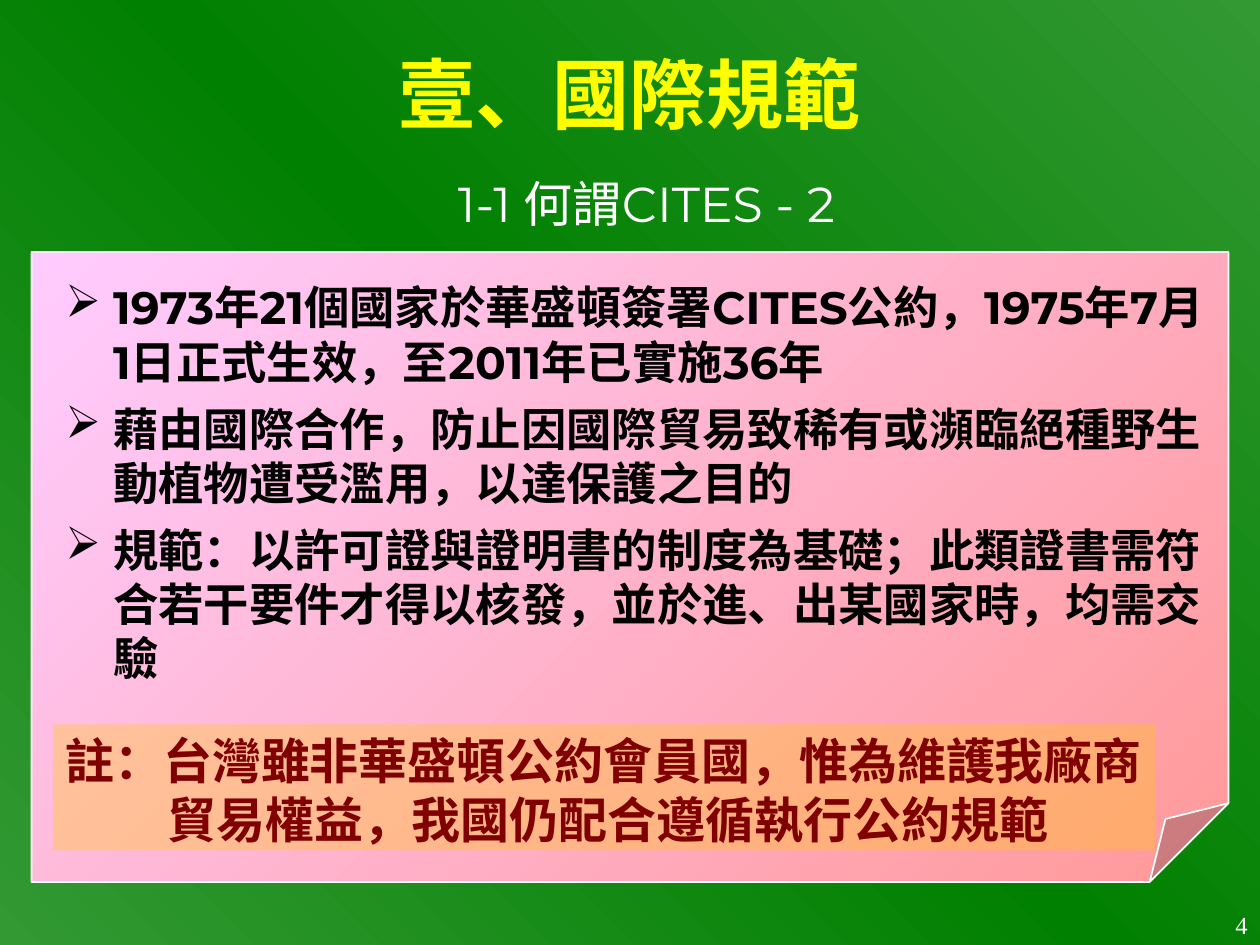
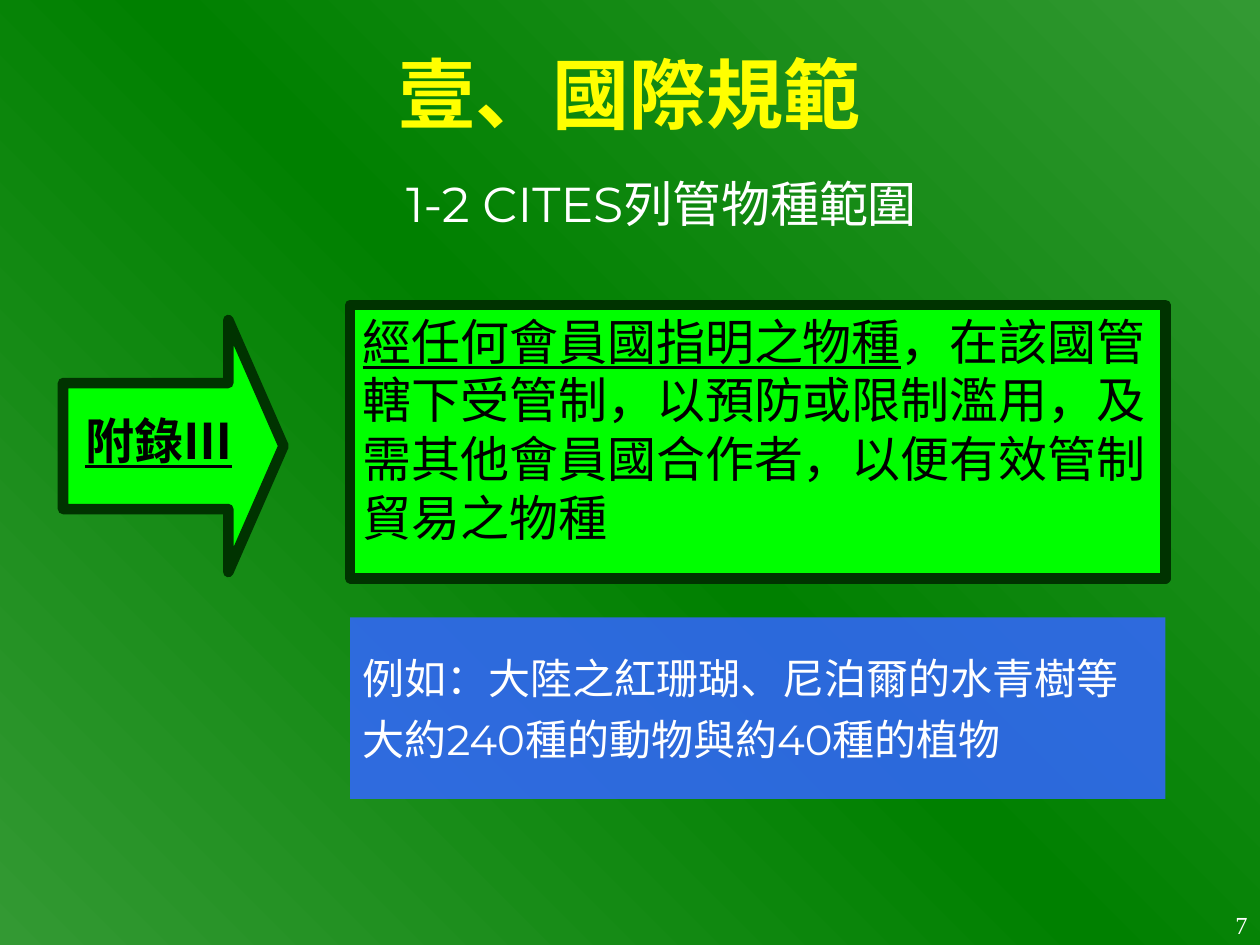
from lxml.etree import SubElement
from pptx import Presentation
from pptx.dml.color import RGBColor
from pptx.enum.shapes import MSO_SHAPE
from pptx.enum.text import MSO_ANCHOR, PP_ALIGN
from pptx.oxml.ns import qn
from pptx.util import Inches, Pt

GREEN = RGBColor(0x33, 0x99, 0x33)
DEEP_GREEN = RGBColor(0x00, 0x80, 0x00)
DARK_GREEN = RGBColor(0x00, 0x33, 0x00)
BRIGHT_GREEN = RGBColor(0x00, 0xFF, 0x00)
LILAC = RGBColor(0xFF, 0xCC, 0xFF)
SALMON = RGBColor(0xFF, 0x99, 0x99)
AMBER = RGBColor(0xFF, 0xCC, 0x00)
MAROON = RGBColor(0x80, 0x00, 0x00)
BLUE = RGBColor(0x33, 0x66, 0xFF)
YELLOW = RGBColor(0xFF, 0xFF, 0x00)
WHITE = RGBColor(0xFF, 0xFF, 0xFF)
BLACK = RGBColor(0x00, 0x00, 0x00)

FONT = "Montserrat"
NUMBER_FONT = "Times New Roman"
TITLE = "壹、國際規範"
TREATY_POINTS = [
    "1973年21個國家於華盛頓簽署CITES公約，1975年7月1日正式生效，至2011年已實施36年",
    "藉由國際合作，防止因國際貿易致稀有或瀕臨絕種野生動植物遭受濫用，以達保護之目的",
    "規範：以許可證與證明書的制度為基礎；此類證書需符合若干要件才得以核發，並於進、出某國家時，均需交驗",
]
TREATY_NOTE = "註：台灣雖非華盛頓公約會員國，惟為維護我廠商貿易權益，我國仍配合遵循執行公約規範"
SPECIES_RULE = [
    ("經任何會員國指明之物種", True),
    ("，在該國管轄下受管制，以預防或限制濫用，及需其他會員國合作者，以便有效管制貿易之物種", False),
]
SPECIES_EXAMPLES = ["例如：大陸之紅珊瑚、尼泊爾的水青樹等", "大約240種的動物與約40種的植物"]


def inches(box):
    """Turn a (left, top, width, height) box into lengths."""
    return [Inches(value) for value in box]


def set_gradient(fill, element, angle, colors):
    """Fill with evenly spaced colour stops."""
    fill.gradient()
    fill.gradient_angle = angle
    stops = next(element.iter(qn("a:gsLst")))
    for stop in list(stops):
        stops.remove(stop)
    for index, color in enumerate(colors):
        position = str(100000 * index // (len(colors) - 1))
        stop = SubElement(stops, qn("a:gs"), pos=position)
        SubElement(stop, qn("a:srgbClr"), val=str(color))


def add_panel(slide, box, kind=MSO_SHAPE.RECTANGLE, fill=None, opacity=100, line=None, line_width=1):
    """Add a flat preset shape, optionally see-through or outlined."""
    shape = slide.shapes.add_shape(kind, *inches(box))
    shape.shadow.inherit = False
    if fill is not None:
        shape.fill.solid()
        shape.fill.fore_color.rgb = fill
        if opacity < 100:
            color = next(shape.element.spPr.iter(qn("a:srgbClr")))
            SubElement(color, qn("a:alpha"), val=str(opacity * 1000))
    if line is None:
        shape.line.fill.background()
    else:
        shape.line.color.rgb = line
        shape.line.width = Pt(line_width)
    return shape


def write(shape, paragraphs, size, color, bold=None, font=FONT, align=PP_ALIGN.LEFT,
          anchor=MSO_ANCHOR.TOP, gap=0, hanging=0, bullet=None):
    """Write paragraphs, each a string or a list of (text, underlined) runs."""
    frame = shape.text_frame
    frame.word_wrap = True
    frame.vertical_anchor = anchor
    for index, content in enumerate(paragraphs):
        paragraph = frame.add_paragraph() if index else frame.paragraphs[0]
        paragraph.alignment = align
        if index:
            paragraph.space_before = Pt(gap)
        properties = paragraph._p.get_or_add_pPr()
        if hanging:
            properties.set("marL", str(Inches(hanging)))
            properties.set("indent", str(-Inches(hanging)))
        if bullet:
            bullet_color = SubElement(properties, qn("a:buClr"))
            SubElement(bullet_color, qn("a:srgbClr"), val=str(color))
            SubElement(properties, qn("a:buChar"), char=bullet)
        paragraph.font.name = font
        paragraph.font.size = Pt(size)
        paragraph.font.bold = bold
        paragraph.font.color.rgb = color
        runs = [(content, False)] if isinstance(content, str) else content
        for text, underlined in runs:
            run = paragraph.add_run()
            run.text = text
            if underlined:
                run.font.underline = True


def add_text(slide, box, paragraphs, size, color, **style):
    """Add a text box."""
    write(slide.shapes.add_textbox(*inches(box)), paragraphs, size, color, **style)


def add_base_slide(presentation, subtitle, subtitle_box, number):
    """Add a slide with the shared background, title and slide number."""
    slide = presentation.slides.add_slide(presentation.slide_layouts[6])
    set_gradient(slide.background.fill, slide.element, 45, [GREEN, DEEP_GREEN, GREEN])
    add_text(slide, (0.5, 0.3, 9, 0.87), [TITLE], 44, YELLOW, bold=True,
             align=PP_ALIGN.CENTER, anchor=MSO_ANCHOR.MIDDLE)
    add_text(slide, subtitle_box, [subtitle], 28, WHITE, align=PP_ALIGN.CENTER)
    add_text(slide, (9.42, 7.17, 0.58, 0.42), [str(number)], 14, WHITE,
             font=NUMBER_FONT, align=PP_ALIGN.RIGHT)
    return slide


def add_treaty_sheet(slide, box):
    """Add the folded sheet with its points and the note at its foot."""
    left, top, width, height = box
    sheet = add_panel(slide, box, MSO_SHAPE.FOLDED_CORNER, line=WHITE)
    fold = next(sheet.element.iter(qn("a:avLst")))
    SubElement(fold, qn("a:gd"), name="adj", fmla="val 12500")
    set_gradient(sheet.fill, sheet.element, 315, [LILAC, SALMON])
    add_text(slide, (left + 0.17, top + 0.17, width - 0.17, 3.5), TREATY_POINTS, 25.9, BLACK,
             bold=True, gap=7, hanging=0.38, bullet="➢")
    note = add_panel(slide, (left + 0.17, top + height - 1.25, width - 0.75, 1),
                     fill=AMBER, opacity=30)
    write(note, [TREATY_NOTE], 28, MAROON, bold=True, hanging=0.81)


def add_appendix_arrow(slide, box):
    """Add the block arrow and its label."""
    left, top, width, height = box
    arrow = add_panel(slide, box, MSO_SHAPE.RIGHT_ARROW, BRIGHT_GREEN,
                      line=DARK_GREEN, line_width=6)
    arrow.adjustments[0] = 0.5
    arrow.adjustments[1] = 0.25
    add_text(slide, (left + 0.08, top + height / 3, 1.42, 0.67), [[("附錄Ⅲ", True)]],
             28, BLACK, bold=True)


def add_species_boxes(slide, box):
    """Add the rule box with the examples box below it."""
    left, top, width, height = box
    rule = add_panel(slide, (left, top, width, 2.17), fill=BRIGHT_GREEN,
                     line=DARK_GREEN, line_width=6)
    write(rule, [SPECIES_RULE], 28, BLACK)
    examples = add_panel(slide, (left, top + height - 1.44, width, 1.44),
                         fill=BLUE, opacity=86)
    write(examples, SPECIES_EXAMPLES, 24, WHITE, anchor=MSO_ANCHOR.MIDDLE, gap=6)


def main():
    """Build and save the presentation."""
    presentation = Presentation()
    presentation.slide_width = Inches(10)
    presentation.slide_height = Inches(7.5)

    treaty = add_base_slide(presentation, "1-1 何謂CITES - 2", (2.92, 1.33, 4.42, 0.75), 4)
    add_treaty_sheet(treaty, (0.25, 2, 9.5, 5))

    species = add_base_slide(presentation, "1-2 CITES列管物種範圍", (1.5, 1.33, 7.5, 0.67), 7)
    add_species_boxes(species, (2.78, 2.42, 6.47, 3.92))
    add_appendix_arrow(species, (0.5, 2.54, 1.75, 2))

    presentation.save("out.pptx")


if __name__ == "__main__":
    main()
